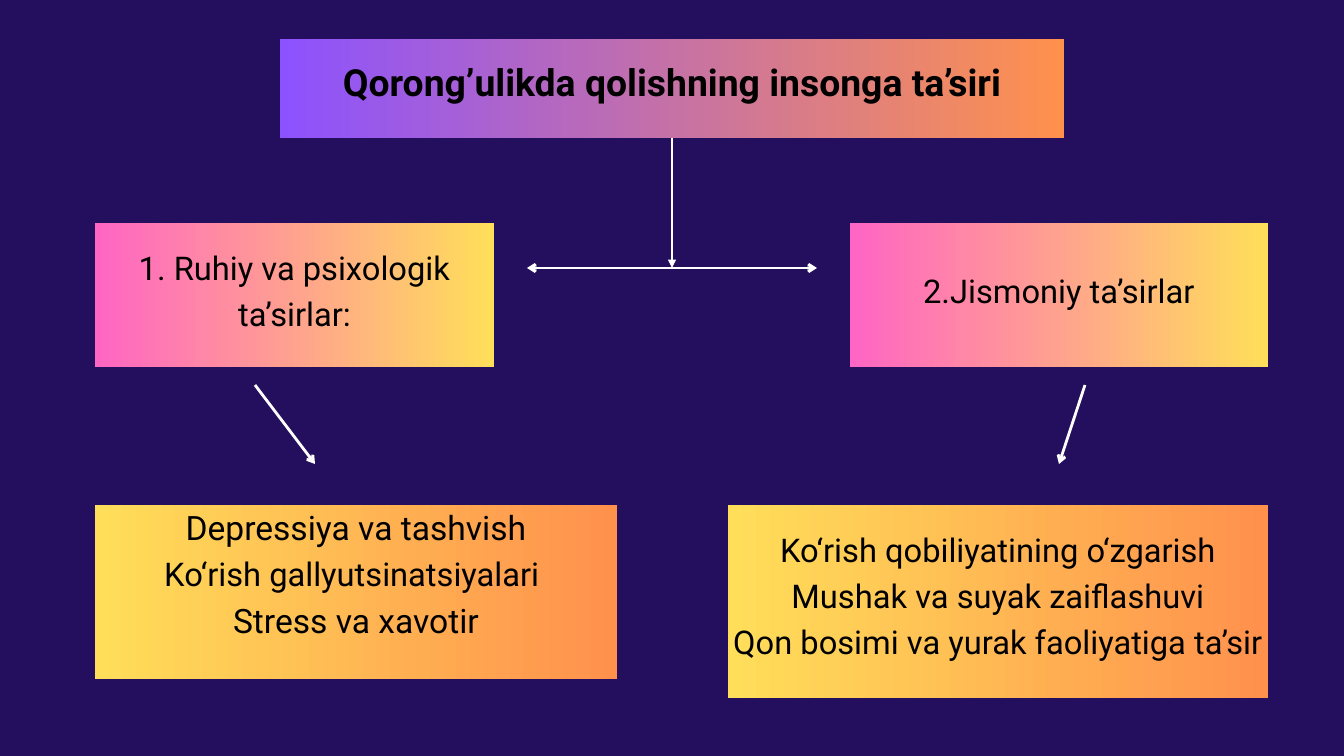
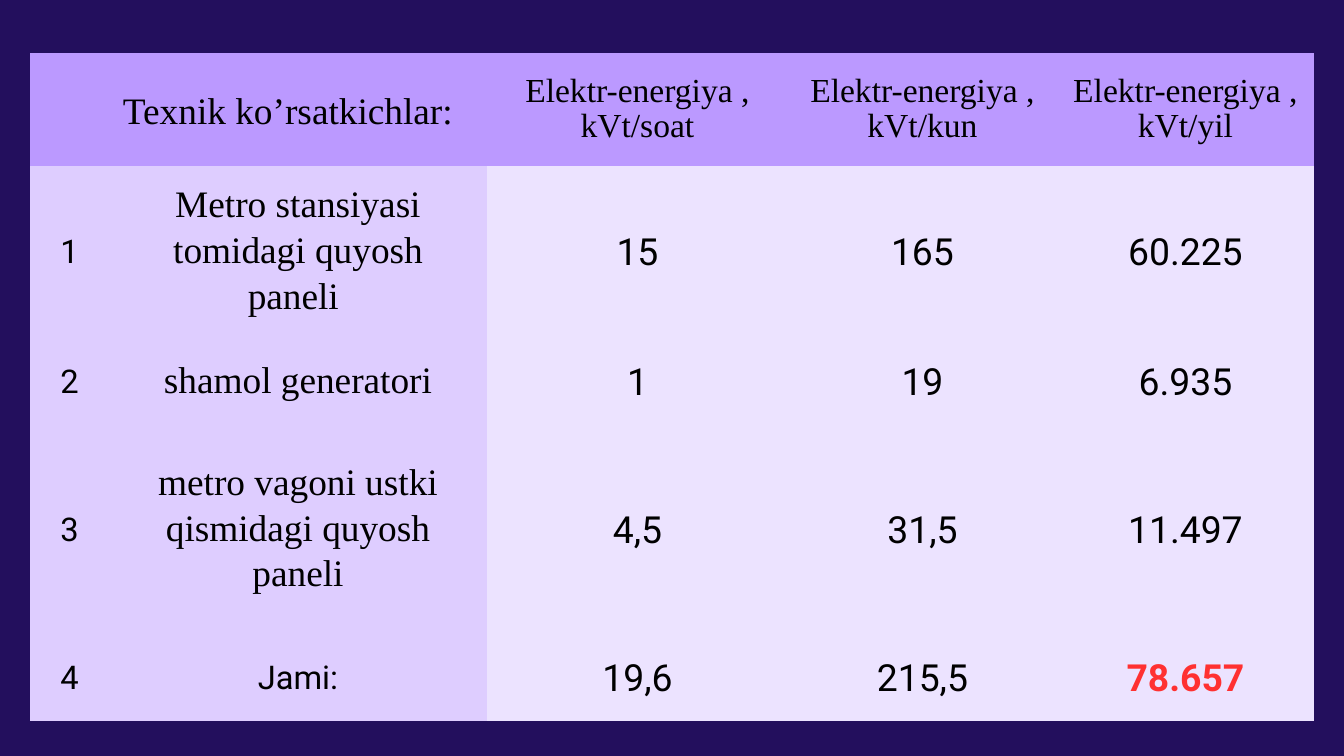
from lxml import etree
from pptx import Presentation
from pptx import util as u
from pptx.dml.color import RGBColor
from pptx.enum import shapes, text
from pptx.oxml.ns import qn

WIDTH, HEIGHT = 1344, 756
EMU_PER_PX = u.Inches(20) / WIDTH

NAVY = RGBColor(0x23, 0x0F, 0x5D)
BLACK = RGBColor(0, 0, 0)
WHITE = RGBColor(255, 255, 255)
RED = RGBColor(0xFF, 0x31, 0x31)
VIOLET = RGBColor(0x8C, 0x52, 0xFF)
ORANGE = RGBColor(0xFF, 0x91, 0x4D)
PINK = RGBColor(0xFF, 0x66, 0xC4)
YELLOW = RGBColor(0xFF, 0xDE, 0x59)
HEADER_LILAC = RGBColor(0xBB, 0x99, 0xFF)
LABEL_LILAC = RGBColor(0xDE, 0xCD, 0xFF)
VALUE_LILAC = RGBColor(0xEC, 0xE3, 0xFF)

SANS, SERIF = "Roboto", "Times New Roman"
LEADING = 1.4
CARD_INSET, CELL_INSET = 4, 14
NO_GRID_STYLE = "{2D5ABB26-0587-4C30-8999-92F81FD0307C}"

TITLE = "Qorong’ulikda qolishning insonga ta’siri"
TITLE_BOX = (280, 39, 784, 99)
TITLE_RISE = 21

CAUSE = {"colors": (PINK, YELLOW), "rise": 16, "trim": 0}
EFFECT = {"colors": (YELLOW, ORANGE), "rise": 19, "trim": 0}
CARDS = [
    {**CAUSE, "box": (95, 223, 399, 144),
     "lines": [("1. Ruhiy va psixologik ta’sirlar:", 35)]},
    {**CAUSE, "box": (850, 223, 418, 144),
     "lines": [("2.Jismoniy ta’sirlar", 35)]},
    {**EFFECT, "box": (95, 505, 522, 174), "trim": 25,
     "lines": [("Depressiya va tashvish", 36),
               ("Ko‘rish gallyutsinatsiyalari ", 35),
               ("Stress va xavotir", 36)]},
    {**EFFECT, "box": (728, 505, 540, 193),
     "lines": [("Ko‘rish qobiliyatining o‘zgarish", 35),
               ("Mushak va suyak zaiflashuvi", 35),
               ("Qon bosimi va yurak faoliyatiga ta’sir", 35)]},
]
ARROWS = [
    ((672, 138, 672, 268), {"tailEnd": "triangle"}),
    ((527, 268, 817, 268), {"headEnd": "arrow", "tailEnd": "arrow"}),
    ((255, 385, 315, 464), {"tailEnd": "arrow"}),
    ((1085, 385, 1059, 464), {"tailEnd": "arrow"}),
]

TABLE_LEFT, TABLE_TOP = 30, 53
COLUMN_WIDTHS = [79, 378, 301, 269, 257]
ROW_HEIGHTS = [113, 148, 94, 202, 94]
ENERGY_ROWS = [
    ["", "Texnik ko’rsatkichlar:", "Elektr-energiya , kVt/soat",
     "Elektr-energiya , kVt/kun", "Elektr-energiya , kVt/yil"],
    ["1", "Metro stansiyasi tomidagi quyosh paneli ", "15", "165", "60.225"],
    ["2", "shamol generatori", "1", "19", "6.935"],
    ["3", "metro vagoni ustki qismidagi quyosh paneli", "4,5", "31,5", "11.497"],
    ["4", "Jami:", "19,6", "215,5", "78.657"],
]


def px(*lengths):
    return [u.Emu(round(length * EMU_PER_PX)) for length in lengths]


def add_slide(presentation, layout_index):
    slide = presentation.slides.add_slide(presentation.slide_layouts[layout_index])
    slide.background.fill.solid()
    slide.background.fill.fore_color.rgb = NAVY
    return slide


def format_paragraph(paragraph, size, font=SANS, color=BLACK, bold=False,
                     spacing=None, align=text.PP_ALIGN.CENTER):
    paragraph.alignment = align
    paragraph.line_spacing = u.Pt(spacing or size * LEADING)
    paragraph.space_before = u.Pt(0)
    for run in paragraph.runs:
        run.font.name = font
        run.font.size = u.Pt(size)
        run.font.bold = bold
        run.font.color.rgb = color


def set_insets(frame, inset):
    for side in ("left", "top", "right", "bottom"):
        setattr(frame, f"margin_{side}", px(inset)[0])


def fill_frame(frame, lines, bold=False):
    frame.word_wrap = True
    frame.auto_size = text.MSO_AUTO_SIZE.NONE
    frame.vertical_anchor = text.MSO_ANCHOR.MIDDLE
    set_insets(frame, CARD_INSET)
    frame.text = "\n".join(line for line, _ in lines)
    for paragraph, (_, size) in zip(frame.paragraphs, lines):
        format_paragraph(paragraph, size, bold=bold)


def add_gradient_box(slide, box, colors):
    shape = slide.shapes.add_shape(shapes.MSO_SHAPE.RECTANGLE, *px(*box))
    shape.shadow.inherit = False
    shape.line.fill.background()
    shape.fill.gradient()
    shape.fill.gradient_angle = 0
    for stop, color, position in zip(shape.fill.gradient_stops, colors, (0, 1)):
        stop.color.rgb = color
        stop.position = position


def text_area(box, rise, trim=0):
    left, top, width, height = box
    return px(left, top - rise, width, height + rise - trim)


def add_title(slide):
    add_gradient_box(slide, TITLE_BOX, (VIOLET, ORANGE))
    title = slide.shapes.title
    title.left, title.top, title.width, title.height = text_area(TITLE_BOX, TITLE_RISE)
    fill_frame(title.text_frame, [(TITLE, 40)], bold=True)
    slide.shapes._spTree.append(title._element)


def add_card(slide, card):
    add_gradient_box(slide, card["box"], card["colors"])
    label = slide.shapes.add_textbox(*text_area(card["box"], card["rise"], card["trim"]))
    fill_frame(label.text_frame, card["lines"])


def add_arrow(slide, ends, heads):
    arrow = slide.shapes.add_connector(shapes.MSO_CONNECTOR.STRAIGHT, *px(*ends))
    arrow.line.color.rgb = WHITE
    arrow.line.width = u.Pt(3)
    line = arrow.line._get_or_add_ln()
    for end, kind in heads.items():
        etree.SubElement(line, qn(f"a:{end}"), type=kind)
    etree.SubElement(arrow._element.spPr, qn("a:effectLst"))


def cell_style(row, column):
    last_row, last_column = len(ROW_HEIGHTS) - 1, len(COLUMN_WIDTHS) - 1
    if row == 0:
        if column < 2:
            return HEADER_LILAC, {"size": 40, "font": SERIF, "spacing": 49,
                                  "align": text.PP_ALIGN.LEFT}
        return HEADER_LILAC, {"size": 36, "font": SERIF, "spacing": 37.8}
    if column == 0 or (column == 1 and row == last_row):
        return LABEL_LILAC, {"size": 35}
    if column == 1:
        return LABEL_LILAC, {"size": 40, "font": SERIF, "spacing": 49}
    if (row, column) == (last_row, last_column):
        return VALUE_LILAC, {"size": 40, "color": RED, "bold": True}
    return VALUE_LILAC, {"size": 40}


def add_energy_table(slide):
    area = px(TABLE_LEFT, TABLE_TOP, sum(COLUMN_WIDTHS), sum(ROW_HEIGHTS))
    table = slide.shapes.add_table(len(ROW_HEIGHTS), len(COLUMN_WIDTHS), *area).table
    table.first_row = table.horz_banding = False
    table._tbl.tblPr.find(qn("a:tableStyleId")).text = NO_GRID_STYLE
    for column, width in zip(table.columns, px(*COLUMN_WIDTHS)):
        column.width = width
    for row, height in zip(table.rows, px(*ROW_HEIGHTS)):
        row.height = height
    for row, values in enumerate(ENERGY_ROWS):
        for column, value in enumerate(values):
            cell = table.cell(row, column)
            fill, style = cell_style(row, column)
            cell.fill.solid()
            cell.fill.fore_color.rgb = fill
            cell.vertical_anchor = text.MSO_ANCHOR.MIDDLE
            set_insets(cell, CELL_INSET)
            cell.text_frame.text = value
            format_paragraph(cell.text_frame.paragraphs[0], **style)


def main():
    presentation = Presentation()
    presentation.slide_width, presentation.slide_height = px(WIDTH, HEIGHT)

    effects_slide = add_slide(presentation, 5)
    add_title(effects_slide)
    for card in CARDS:
        add_card(effects_slide, card)
    for ends, heads in ARROWS:
        add_arrow(effects_slide, ends, heads)

    energy_slide = add_slide(presentation, 6)
    add_energy_table(energy_slide)
    presentation.save("out.pptx")


if __name__ == "__main__":
    main()
